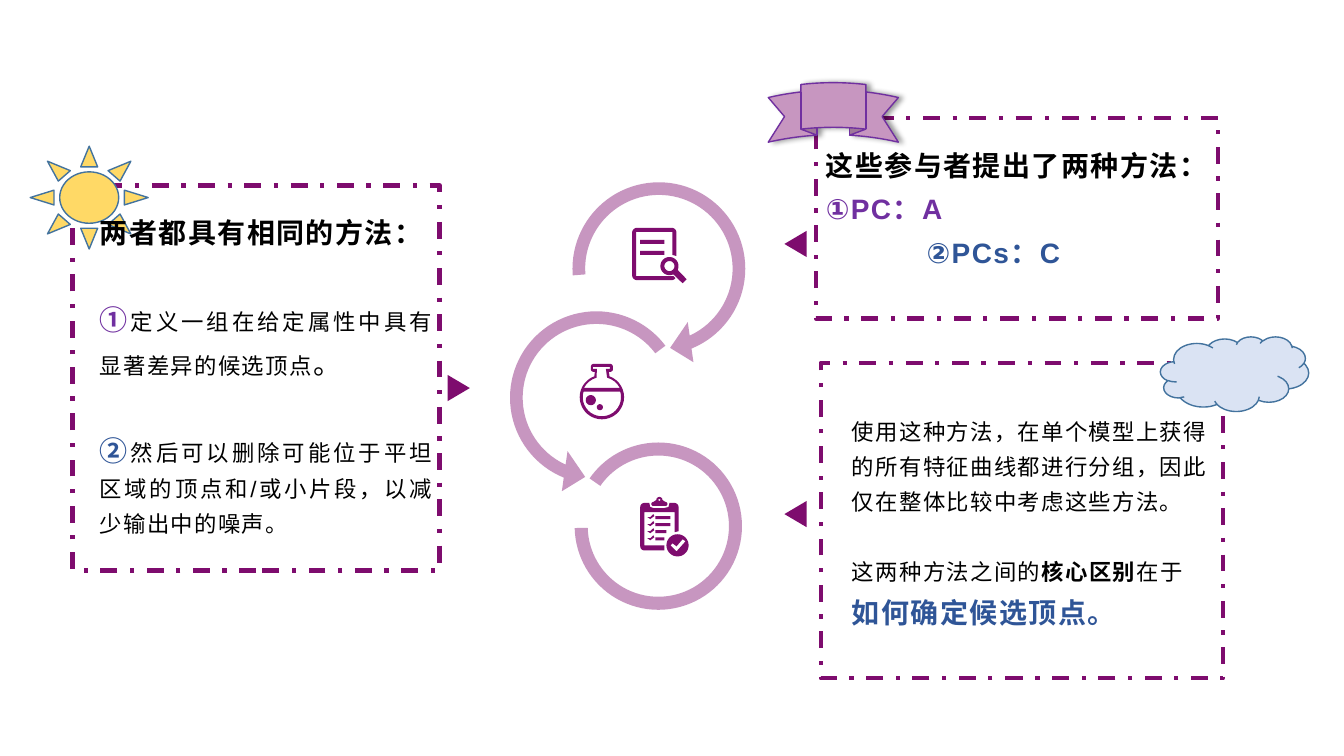
from math import cos, radians, sin

from lxml.etree import SubElement
from pptx import Presentation
from pptx.dml.color import RGBColor
from pptx.enum.dml import MSO_LINE
from pptx.enum.lang import MSO_LANGUAGE_ID
from pptx.enum.shapes import MSO_SHAPE
from pptx.enum.text import MSO_AUTO_SIZE, PP_ALIGN
from pptx.oxml.ns import qn
from pptx.util import Inches, Pt

PLUM, VIOLET, BLUE, BLACK = "7E0C6E", "7030A0", "2F5597", "000000"
OUTLINE = "43739E"


def color(value):
    return RGBColor.from_string(value)


def set_values(target, values):
    for name, value in values.items():
        setattr(target, name, value)


def paint(shape, fill=None, line=None, width=1, alpha=None):
    shape.shadow.inherit = False
    if fill:
        shape.fill.solid()
        shape.fill.fore_color.rgb = color(fill)
    else:
        shape.fill.background()
    if alpha:
        node = shape._element.spPr.find(".//" + qn("a:srgbClr"))
        SubElement(node, qn("a:alpha"), val=str(alpha * 1000))
    if line:
        shape.line.color.rgb = color(line)
        shape.line.width = Pt(width)
    else:
        shape.line.fill.background()


def add_preset(slide, kind, place, rotation=0, adjustments=(), flip=False, **style):
    shape = slide.shapes.add_shape(kind, *map(Inches, place))
    shape.rotation = rotation
    for index, value in enumerate(adjustments):
        shape.adjustments[index] = value
    if flip:
        shape._element.spPr.xfrm.set("flipH", "1")
    paint(shape, **style)
    return shape


def add_frame(slide, place):
    frame = add_preset(slide, MSO_SHAPE.RECTANGLE, place, line=PLUM, width=3)
    frame.line.dash_style = MSO_LINE.DASH_DOT


def add_pointer(slide, left, top, rotation):
    add_preset(slide, MSO_SHAPE.ISOSCELES_TRIANGLE, (left, top, 0.26, 0.22), rotation, fill=PLUM)


def add_ribbon(slide):
    ribbon = add_preset(slide, MSO_SHAPE.CURVED_UP_RIBBON, (7.62, 0.82, 1.29, 0.59),
                        fill="C796C0", line=VIOLET)
    effects = ribbon._element.spPr.find(qn("a:effectLst"))
    shadow = SubElement(effects, qn("a:outerShdw"), blurRad=str(Pt(4)), dist=str(Pt(3)),
                        dir="0", algn="l", rotWithShape="0")
    shade = SubElement(shadow, qn("a:srgbClr"), val=BLACK)
    SubElement(shade, qn("a:alpha"), val="40000")


def add_text(slide, place, paragraphs, alignment=PP_ALIGN.LEFT):
    frame = slide.shapes.add_textbox(*map(Inches, place)).text_frame
    margins = {f"margin_{side}": Inches(0.2) for side in ("left", "top", "right", "bottom")}
    set_values(frame, {"word_wrap": True, "auto_size": MSO_AUTO_SIZE.SHAPE_TO_FIT_TEXT, **margins})
    for index, (before, indent, runs) in enumerate(paragraphs):
        paragraph = frame.add_paragraph() if index else frame.paragraphs[0]
        set_values(paragraph, {"alignment": alignment, "line_spacing": 1.3, "space_before": Pt(before)})
        if indent:
            paragraph._p.get_or_add_pPr().set("marL", str(Inches(indent)))
        for text, size, tone, bold in runs:
            run = paragraph.add_run()
            run.text = text
            set_values(run.font, {"name": "Arial", "size": Pt(size), "bold": bold,
                                  "language_id": MSO_LANGUAGE_ID.SIMPLIFIED_CHINESE})
            run.font.color.rgb = color(tone)
            run._r.get_or_add_rPr().set("spc", "100")


def arc(x, y, radius, start, end):
    steps = max(3, abs(end - start) // 10)
    angles = [radians(start + (end - start) * step / steps) for step in range(steps + 1)]
    return [(x + radius * cos(angle), y + radius * sin(angle)) for angle in angles]


def circle(x, y, radius):
    return arc(x, y, radius, 0, 360)


def bar(left, top, right, bottom):
    return [(left, top), (right, top), (right, bottom), (left, bottom)]


def add_icon(slide, contours):
    builder = None
    for contour in contours:
        first, *rest = [(Inches(x), Inches(y)) for x, y in contour]
        if builder:
            builder.move_to(*first)
        else:
            builder = slide.shapes.build_freeform(*first)
        builder.add_line_segments(rest, close=True)
    paint(builder.convert_to_shape(), fill=PLUM)


def search_icon():
    page = (arc(6.32, 2.31, 0.05, 180, 270) + arc(6.66, 2.31, 0.05, 270, 360)
            + [(6.71, 2.54), (6.67, 2.53), (6.67, 2.3), (6.31, 2.3), (6.31, 2.74), (6.68, 2.74), (6.7, 2.76)]
            + arc(6.66, 2.73, 0.05, 60, 90) + arc(6.32, 2.73, 0.05, 90, 180))
    lens = arc(6.64, 2.64, 0.09, 65, 385) + [(6.81, 2.77), (6.77, 2.81)]
    lines = [bar(6.35, top, 6.59, top + 0.04) for top in (2.38, 2.49)]
    return [page, lens, circle(6.64, 2.64, 0.05), *lines]


def flask_icon():
    outside = (arc(5.97, 3.94, 0.22, -70, 250) + [(5.9, 3.69)]
               + arc(5.89, 3.66, 0.03, 90, 180) + arc(5.89, 3.64, 0.03, 180, 270)
               + arc(6.05, 3.64, 0.03, 270, 360) + arc(6.05, 3.66, 0.03, 0, 90) + [(6.04, 3.69)])
    chamber = (arc(5.97, 3.94, 0.2, -27, -75)
               + [(6.01, 3.66), (6.05, 3.66), (6.05, 3.64), (5.88, 3.64), (5.88, 3.66), (5.92, 3.66)]
               + arc(5.97, 3.94, 0.2, 255, 207))
    liquid = arc(5.97, 3.94, 0.19, -17, 197)
    return [outside, chamber, liquid, circle(5.95, 4.04, 0.03), circle(5.86, 3.97, 0.05)]


def checklist_icon():
    board = (arc(6.39, 5.03, 0.04, 180, 270)
             + [(6.44, 4.99), (6.45, 5.03), (6.48, 5.04), (6.59, 5.04), (6.63, 5.03), (6.64, 4.99)]
             + arc(6.69, 5.03, 0.04, 270, 360)
             + [(6.73, 5.27), (6.69, 5.28), (6.69, 5.08), (6.39, 5.08), (6.39, 5.41), (6.59, 5.41), (6.59, 5.46)]
             + arc(6.39, 5.42, 0.04, 90, 180))
    clip = arc(6.48, 5, 0.02, 90, 270) + arc(6.54, 4.96, 0.03, 180, 360) + arc(6.6, 5, 0.02, 270, 450)
    badge_tick = [(6.65, 5.41), (6.67, 5.39), (6.71, 5.42), (6.77, 5.35), (6.8, 5.37), (6.71, 5.47)]
    contours = [board, clip, circle(6.54, 4.96, 0.01), circle(6.72, 5.41, 0.11), badge_tick]
    for row, right in enumerate((6.65, 6.65, 6.61, 6.59)):
        top = 5.12 + 0.07 * row
        contours.append(bar(6.5, top, right, top + 0.03))
        contours.append([(6.42, top + 0.01), (6.45, top + 0.01), (6.48, top - 0.02),
                         (6.49, top), (6.45, top + 0.03)])
    return contours


def add_cycle(slide):
    ring = {"fill": PLUM, "alpha": 43}
    add_preset(slide, MSO_SHAPE.CIRCULAR_ARROW, (5.54, 1.67, 1.99, 1.99), 90,
               (0.063, 9.168, 202.005, 51.308, 0.101), **ring)
    add_preset(slide, MSO_SHAPE.CIRCULAR_ARROW, (4.92, 2.95, 1.99, 1.99), 270,
               (0.063, 9.168, 202.005, 76.173, 0.101), flip=True, **ring)
    for contours in (search_icon(), flask_icon(), checklist_icon()):
        add_icon(slide, contours)
    add_preset(slide, MSO_SHAPE.BLOCK_ARC, (5.7, 4.39, 1.66, 1.66), 0,
               (128.869, 107.204, 0.078), **ring)


def main():
    presentation = Presentation()
    set_values(presentation, {"slide_width": Inches(13.33), "slide_height": Inches(7.5)})
    slide = presentation.slides.add_slide(presentation.slide_layouts[6])

    add_frame(slide, (0.72, 1.84, 3.64, 3.82))
    add_preset(slide, MSO_SHAPE.SUN, (0.3, 1.45, 1.17, 1.02), fill="FFD966", line=OUTLINE)
    for left, top, rotation in ((7.76, 2.31, 270), (7.76, 4.99, 270), (4.42, 3.74, 90)):
        add_pointer(slide, left, top, rotation)
    add_cycle(slide)

    add_text(slide, (7.99, 1.17, 4.25, 1.67), [
        (0, 0, [("这些参与者提出了两种方法：", 20, BLACK, True)]),
        (0, 0, [("①PC：A", 20, VIOLET, True)]),
        (0, 1, [("②PCs：C", 20, BLUE, True)]),
    ])
    add_text(slide, (0.79, 1.84, 3.71, 3.71), [
        (0, 0, [("两者都具有相同的方法：", 20, BLACK, True)]),
        (31, 0, [("①", 20, VIOLET, True),
                 ("定义一组在给定属性中具有显著差异的候选顶点", 16, BLACK, False),
                 ("。", 20, BLACK, False)]),
        (31, 0, [("②", 20, BLUE, True),
                 ("然后可以删除可能位于平坦区域的顶点和/或小片段，以减少输出中的噪声。", 16, BLACK, False)]),
    ], PP_ALIGN.JUSTIFY)
    add_text(slide, (8.25, 3.87, 3.99, 2.54), [
        (0, 0, [("使用这种方法，在单个模型上获得的所有特征曲线都进行分组，因此仅在整体比较中考虑这些方法。",
                 16, BLACK, False)]),
        (25, 0, [("这两种方法之间的", 16, BLACK, False), ("核心区别", 16, BLACK, True),
                 ("在于", 16, BLACK, False)]),
        (0, 0, [("如何确定候选顶点。", 20, BLUE, True)]),
    ])

    add_frame(slide, (8.09, 1.17, 3.99, 1.99))
    add_frame(slide, (8.14, 3.6, 3.99, 3.13))
    add_ribbon(slide)
    add_preset(slide, MSO_SHAPE.CLOUD, (11.51, 3.34, 1.47, 0.74), fill="DAE3F3", line=OUTLINE)
    presentation.save("out.pptx")


if __name__ == "__main__":
    main()
